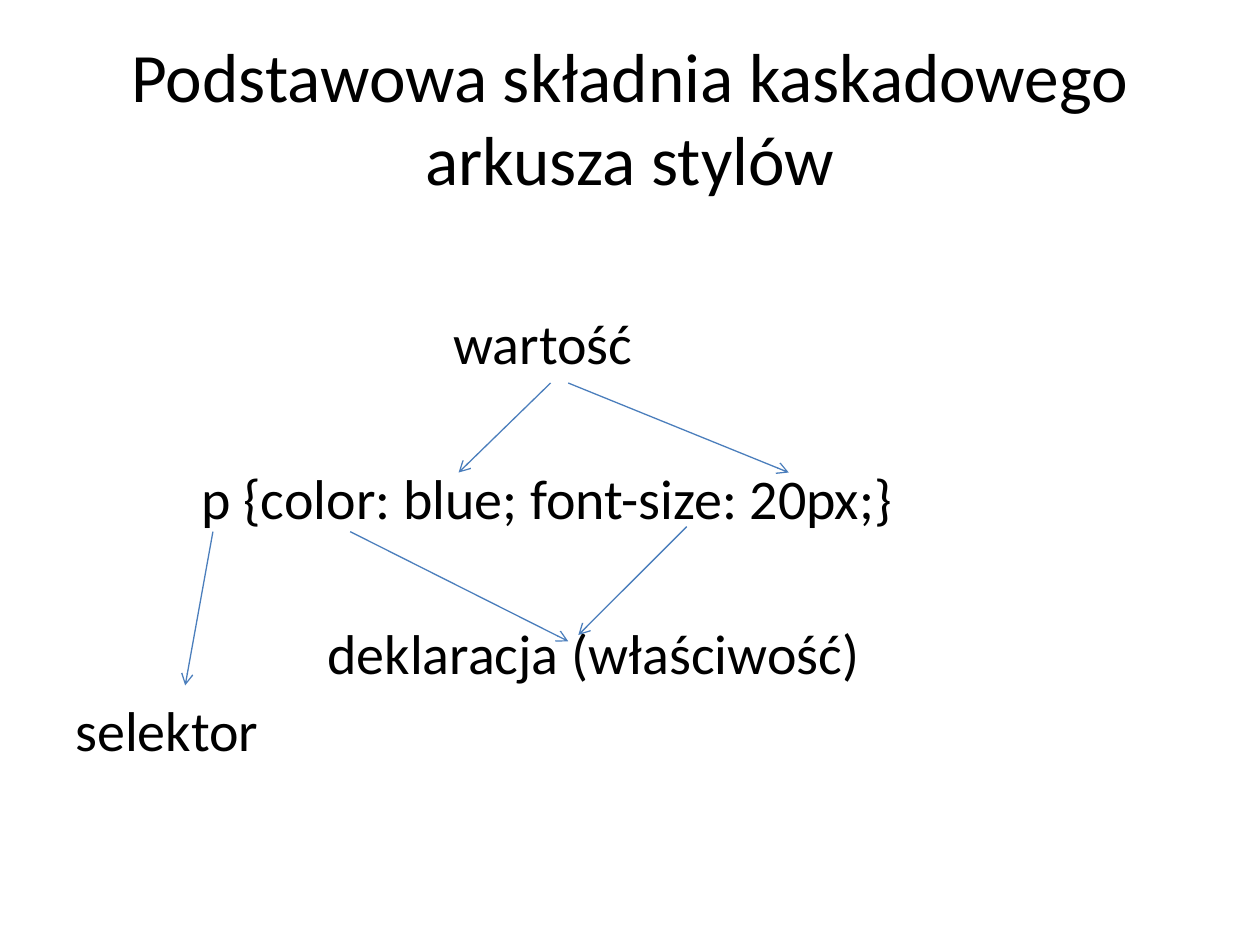
from typing import NamedTuple

from lxml import etree
from pptx import Presentation
from pptx.dml.color import RGBColor
from pptx.enum.shapes import MSO_CONNECTOR
from pptx.enum.text import MSO_ANCHOR, PP_ALIGN
from pptx.oxml.ns import qn
from pptx.util import Inches, Pt

STRAIGHT = MSO_CONNECTOR.STRAIGHT
MIDDLE, TOP = MSO_ANCHOR.MIDDLE, MSO_ANCHOR.TOP
CENTER, LEFT = PP_ALIGN.CENTER, PP_ALIGN.LEFT
BLACK = RGBColor(0x00, 0x00, 0x00)
BLUE = RGBColor(0x4B, 0x7E, 0xBC)
FONT = "Calibri"
NEAR_GAP, WIDE_GAP = 5.6, 50.2


class Line(NamedTuple):
    text: str
    indent: float = 0
    gap: float = 0


class Box(NamedTuple):
    top: float
    height: float
    size: float
    anchor: MSO_ANCHOR
    align: PP_ALIGN
    inset: float
    lines: list[Line]


class Arrow(NamedTuple):
    x1: float
    y1: float
    x2: float
    y2: float


TITLE = Box(0.3, 1.25, 39.6, MIDDLE, CENTER, 0.05,
            [Line("Podstawowa składnia kaskadowego arkusza stylów")])
SYNTAX = Box(1.75, 4.95, 32, TOP, LEFT, 0.7, [
    Line("wartość", 3),
    Line("p {color: blue; font-size: 20px;}", 1, WIDE_GAP),
    Line("deklaracja (właściwość)", 2, WIDE_GAP),
    Line("selektor", 0, NEAR_GAP),
])
ARROWS = [
    Arrow(1.69, 4.22, 1.47, 5.44),
    Arrow(2.78, 4.22, 4.51, 5.09),
    Arrow(5.45, 4.18, 4.59, 5.04),
    Arrow(4.37, 3.04, 3.64, 3.75),
    Arrow(4.51, 3.04, 6.26, 3.75),
]


def add_text(slide, box: Box) -> None:
    """Add a full-width text box with one paragraph per line."""
    frame = slide.shapes.add_textbox(
        Inches(0.5), Inches(box.top), Inches(9), Inches(box.height)).text_frame
    frame.word_wrap = True
    frame.vertical_anchor = box.anchor
    frame.margin_top = Inches(box.inset)
    for index, line in enumerate(box.lines):
        paragraph = frame.add_paragraph() if index else frame.paragraphs[0]
        paragraph.alignment = box.align
        if line.gap:
            paragraph.space_before = Pt(line.gap)
        if line.indent:
            paragraph._p.get_or_add_pPr().set("marL", str(Inches(line.indent)))
        run = paragraph.add_run()
        run.text = line.text
        run.font.name = FONT
        run.font.size = Pt(box.size)
        run.font.color.rgb = BLACK


def add_arrow(slide, arrow: Arrow) -> None:
    """Add a thin straight line with an open arrowhead at its end."""
    connector = slide.shapes.add_connector(STRAIGHT, *map(Inches, arrow))
    connector.line.color.rgb = BLUE
    connector.line.width = Pt(0.75)
    etree.SubElement(connector.line._get_or_add_ln(), qn("a:tailEnd"), type="arrow")
    etree.SubElement(connector._element.spPr, qn("a:effectLst"))


def main() -> None:
    """Build the slide on basic style sheet syntax."""
    deck = Presentation()
    deck.slide_width, deck.slide_height = Inches(10), Inches(7.5)
    slide = deck.slides.add_slide(deck.slide_layouts[6])
    for box in (TITLE, SYNTAX):
        add_text(slide, box)
    for arrow in ARROWS:
        add_arrow(slide, arrow)
    deck.save("out.pptx")


if __name__ == "__main__":
    main()
